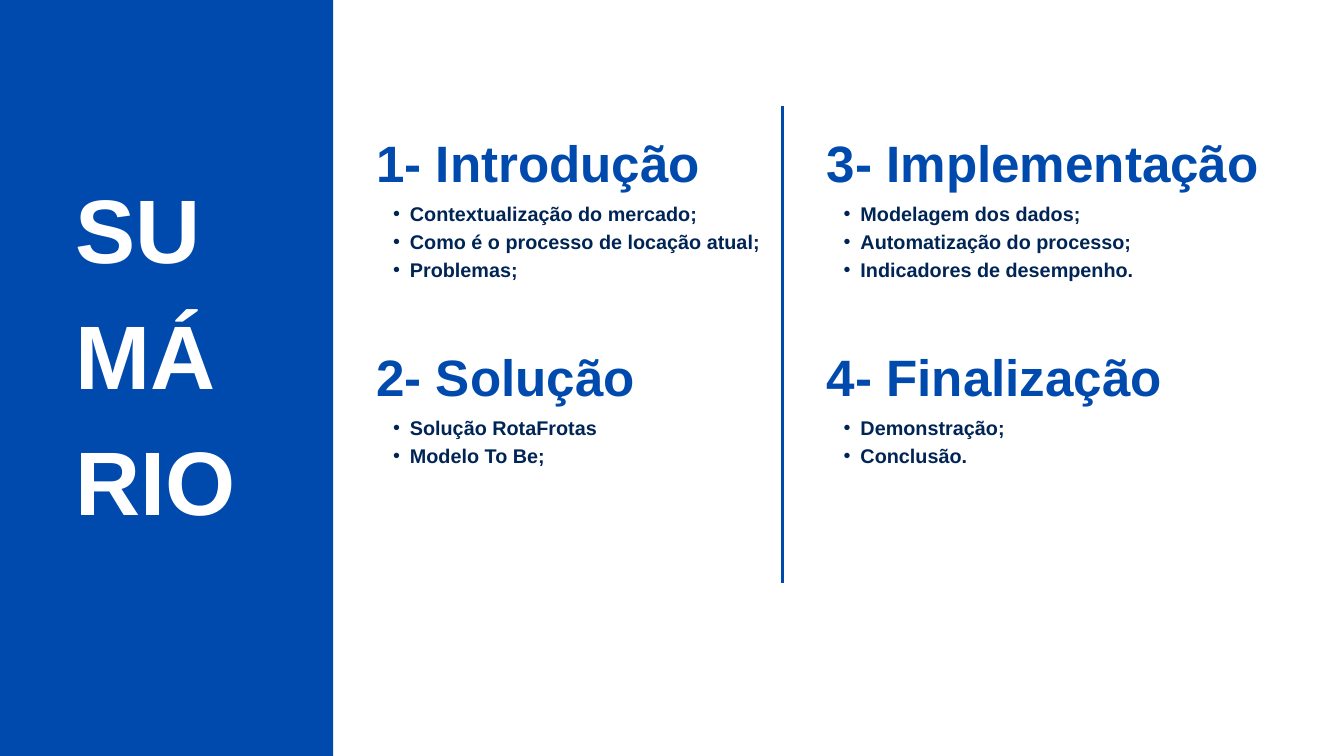
from lxml import etree
from pptx import Presentation
from pptx.dml.color import RGBColor
from pptx.enum.shapes import MSO_CONNECTOR, MSO_SHAPE
from pptx.enum.text import MSO_ANCHOR
from pptx.oxml.ns import qn
from pptx.util import Inches, Pt

RECTANGLE = MSO_SHAPE.RECTANGLE
STRAIGHT = MSO_CONNECTOR.STRAIGHT
TOP = MSO_ANCHOR.TOP

WIDTH, HEIGHT = Inches(20), Inches(11.25)
COLUMN, ROW = WIDTH / 40, HEIGHT / 45
FONT = "Arial"
COLORS = {"blue": "004AAD", "navy": "002555", "white": "FFFFFF"}

SECTION_LEFTS = (11.2, 24.61)
SECTION_TOPS = (7.2, 19.92)
SECTIONS = (
    (
        ("1- Introdução", ("Contextualização do mercado;",
                           "Como é o processo de locação atual;",
                           "Problemas;")),
        ("2- Solução", ("Solução RotaFrotas", "Modelo To Be;")),
    ),
    (
        ("3- Implementação", ("Modelagem dos dados;",
                              "Automatização do processo;",
                              "Indicadores de desempenho.")),
        ("4- Finalização", ("Demonstração;", "Conclusão.")),
    ),
)


def color(name):
    return RGBColor.from_string(COLORS[name])


def grid(left, top, width, height):
    return [round(size) for size in
            (left * COLUMN, top * ROW, width * COLUMN, height * ROW)]


def add_bullet(para):
    para.level = 1
    properties = para._p.get_or_add_pPr()
    properties.set("marL", str(Inches(0.5)))
    properties.set("indent", str(Inches(-0.25)))
    etree.SubElement(properties, qn("a:buFont")).set("typeface", FONT)
    etree.SubElement(properties, qn("a:buChar")).set("char", "•")


def add_text(page, box, lines, size, spacing, ink, bulleted=False):
    frame = page.shapes.add_textbox(*grid(*box)).text_frame
    frame.word_wrap = True
    frame.vertical_anchor = TOP
    frame.margin_left = frame.margin_right = 0
    frame.margin_top = frame.margin_bottom = 0
    for index, line in enumerate(lines):
        para = frame.paragraphs[0] if index == 0 else frame.add_paragraph()
        if bulleted:
            add_bullet(para)
        para.text = line
        para.line_spacing = Pt(spacing)
        para.font.name = FONT
        para.font.size = Pt(size)
        para.font.bold = True
        para.font.color.rgb = color(ink)


def add_title_panel(page, box):
    left, top, width, height = box
    panel = page.shapes.add_shape(RECTANGLE, *grid(*box))
    panel.shadow.inherit = False
    panel.fill.solid()
    panel.fill.fore_color.rgb = color("blue")
    panel.line.fill.background()
    title_box = (left + 0.225 * width, top + 0.205 * height,
                 0.6 * width, 0.5 * height)
    add_text(page, title_box, ["SUMÁRIO"], 96.6, 135.2, "white")


def add_section(page, box, heading, items):
    left, top, width, height = box
    add_text(page, (left, top, width, 4.2), [heading], 54.8, 76.7, "blue")
    list_box = (left, top + 4.58, 11.48, 1.64 * len(items))
    add_text(page, list_box, items, 21.2, 29.7, "navy", bulleted=True)


def add_divider(page, box):
    left, top, width, height = grid(*box)
    divider = page.shapes.add_connector(
        STRAIGHT, left, top + height, left + width, top)
    divider.line.color.rgb = color("blue")
    divider.line.width = Pt(3)
    etree.SubElement(divider._element.spPr, qn("a:effectLst"))


def main():
    deck = Presentation()
    deck.slide_width, deck.slide_height = WIDTH, HEIGHT
    page = deck.slides.add_slide(deck.slide_layouts[6])
    page.background.fill.solid()
    page.background.fill.fore_color.rgb = color("white")

    add_title_panel(page, (0, 0, 9.92, 45))
    for left, sections in zip(SECTION_LEFTS, SECTIONS):
        for top, (heading, items) in zip(SECTION_TOPS, sections):
            add_section(page, (left, top, 13.14, 9.5), heading, items)
    add_divider(page, (23.28, 6.32, 0, 28.4))

    deck.save("out.pptx")


if __name__ == "__main__":
    main()
